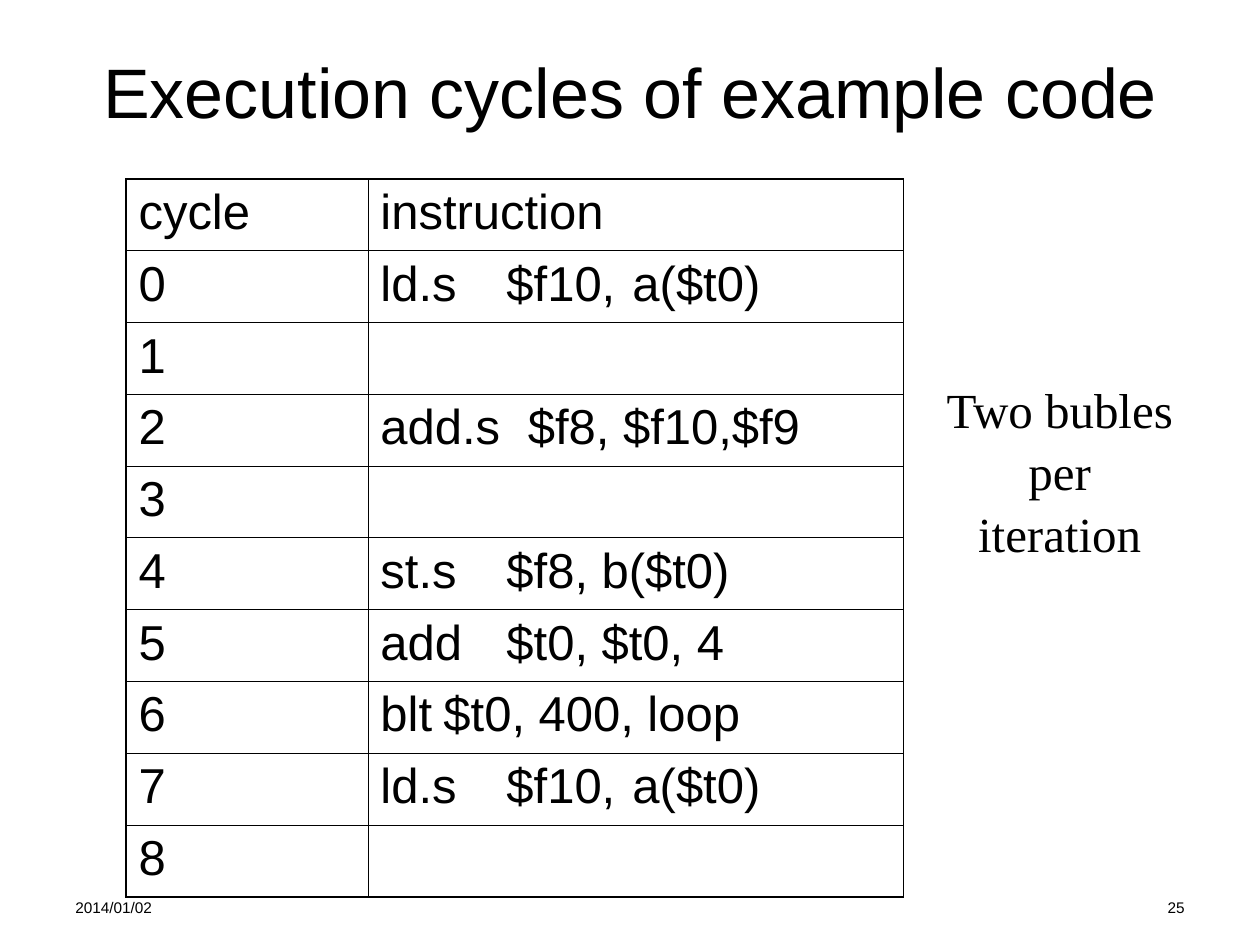
from lxml import etree
from pptx import Presentation
from pptx.dml.color import RGBColor
from pptx.enum.text import MSO_ANCHOR, PP_ALIGN
from pptx.oxml.ns import qn
from pptx.util import Inches, Pt

LEFT, CENTER, RIGHT = PP_ALIGN.LEFT, PP_ALIGN.CENTER, PP_ALIGN.RIGHT
MIDDLE = MSO_ANCHOR.MIDDLE
COLORS = {"text": "000000", "line": "000000"}
SANS, SERIF = "Arial", "Times New Roman"
THICK, THIN = 1.08, 0.45

# One entry per cycle; a stall has no instruction
CODE = [
    "ld.s\t$f10,\ta($t0)",
    "",
    "add.s\t$f8, $f10,$f9",
    "",
    "st.s\t$f8, b($t0)",
    "add\t$t0, $t0, 4",
    "blt\t$t0, 400, loop",
    "ld.s\t$f10,\ta($t0)",
    "",
]
STOPS = {"add.s": 1.17}  # own tab stop for the widest opcode


class Deck:
    def __init__(self, slide):
        self.slide = slide

    def style(self, par, size, font=SANS, align=LEFT):
        par.alignment = align
        par.font.size = Pt(size)
        par.font.name = font
        par.font.color.rgb = RGBColor.from_string(COLORS["text"])

    def title(self, text, box, size):
        shape = self.slide.shapes.title
        shape.left, shape.top, shape.width, shape.height = map(Inches, box)
        frame = shape.text_frame
        frame.text = text
        frame.vertical_anchor = MIDDLE
        self.style(frame.paragraphs[0], size, align=CENTER)

    def text(self, lines, box, size, font=SANS, align=LEFT, wrap=True, space=1.0):
        frame = self.slide.shapes.add_textbox(*map(Inches, box)).text_frame
        frame.word_wrap = wrap
        frame.text = "\n".join(lines)
        for par in frame.paragraphs:
            par.line_spacing = space
            self.style(par, size, font, align)

    def border(self, cell, sides):
        props = cell._tc.get_or_add_tcPr()
        for i, (side, width) in enumerate(sides.items()):
            line = etree.Element(qn("a:" + side), w=str(Pt(width)))
            fill = etree.SubElement(line, qn("a:solidFill"))
            etree.SubElement(fill, qn("a:srgbClr"), val=COLORS["line"])
            props.insert(i, line)

    def stop(self, par, pos):
        tabs = etree.SubElement(par._p.get_or_add_pPr(), qn("a:tabLst"))
        etree.SubElement(tabs, qn("a:tab"), pos=str(Inches(pos)), algn="l")

    def table(self, rows, box, widths, size):
        count, span = len(rows), len(widths)
        table = self.slide.shapes.add_table(count, span, *map(Inches, box)).table
        table.first_row = table.horz_banding = False
        for col, width in zip(table.columns, widths):
            col.width = Inches(width)
        for r, row in enumerate(rows):
            table.rows[r].height = Inches(box[3] / count)
            for c, text in enumerate(row):
                cell = table.cell(r, c)
                cell.text = text
                cell.fill.background()
                par = cell.text_frame.paragraphs[0]
                par.space_before = Pt(7)
                code = text.split("\t")[0]
                if code in STOPS:
                    self.stop(par, STOPS[code])
                self.style(par, size)
                # Outer edges are thick, inner ones thin
                edges = {"lnL": c == 0, "lnR": c == span - 1,
                         "lnT": r == 0, "lnB": r == count - 1}
                self.border(cell, {k: THICK if out else THIN
                                   for k, out in edges.items()})


def main():
    prs = Presentation()
    prs.slide_width, prs.slide_height = Inches(10), Inches(7.5)
    deck = Deck(prs.slides.add_slide(prs.slide_layouts[5]))

    # Footer
    deck.text(["2014/01/02"], (0.5, 7.08, 2.33, 0.27), 8.8)
    deck.text(["25"], (7.17, 7.08, 2.33, 0.27), 8.8, align=RIGHT)

    # Title
    deck.title("Execution cycles of example code", (0.5, 0.3, 9, 0.83), 40)

    # Cycle table
    rows = [("cycle", "instruction")]
    rows += [(str(i), code) for i, code in enumerate(CODE)]
    deck.table(rows, (1, 1.42, 6.17, 5.7), (1.92, 4.25), 28)

    # Side note
    deck.text(["Two bubles", "per iteration"], (7.37, 2.94, 2.08, 1.04), 28,
              SERIF, CENTER, wrap=False, space=1.05)

    prs.save("out.pptx")


if __name__ == "__main__":
    main()
